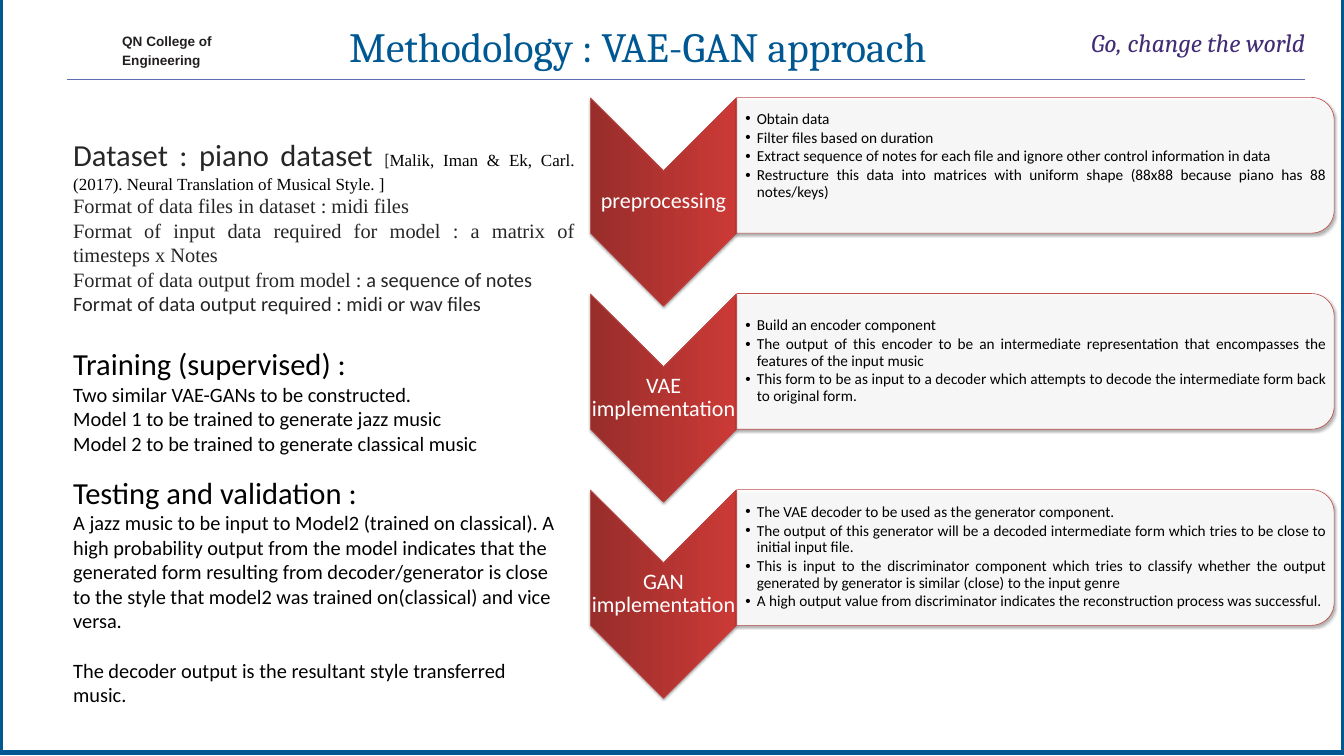
from lxml.etree import SubElement
from pptx import Presentation
from pptx.dml.color import RGBColor
from pptx.enum.shapes import MSO_CONNECTOR, MSO_SHAPE as Shape
from pptx.enum.text import MSO_ANCHOR as Anchor, MSO_AUTO_SIZE as AutoSize, PP_ALIGN as Align
from pptx.oxml import parse_xml
from pptx.oxml.ns import nsdecls, qn
from pptx.util import Cm, Pt

SHADOW = (
    f'<a:outerShdw {nsdecls("a")} blurRad="39370" dist="22860" dir="5400000" rotWithShape="0">'
    '<a:srgbClr val="000000"><a:alpha val="34000"/></a:srgbClr></a:outerShdw>'
)


def colour(code):
    return RGBColor.from_string(code)


def write(box, place, insets, paragraphs, anchor=Anchor.TOP):
    for side, length in zip(("left", "top", "width", "height"), place):
        setattr(box, side, Cm(length))
    frame = box.text_frame
    settings = {"word_wrap": True, "auto_size": AutoSize.NONE, "vertical_anchor": anchor}
    for side, length in zip(("left", "top", "right", "bottom"), insets):
        settings[f"margin_{side}"] = Cm(length)
    for key, value in settings.items():
        setattr(frame, key, value)
    for number, (layout, runs) in enumerate(paragraphs):
        paragraph = frame.paragraphs[0] if number == 0 else frame.add_paragraph()
        for key, value in ({"space_before": Pt(0)} | layout).items():
            setattr(paragraph, key, value)
        for text, size, name, ink, *style in runs:
            run = paragraph.add_run()
            run.text = text
            font = {"size": Pt(size), "name": name, "bold": "bold" in style, "italic": "italic" in style}
            for key, value in font.items():
                setattr(run.font, key, value)
            run.font.color.rgb = colour(ink)
    return frame


deck = Presentation()
deck.slide_width, deck.slide_height = Cm(55.85), Cm(31.42)
slide = deck.slides.add_slide(deck.slide_layouts[4])
shapes = slide.shapes
heading = shapes.title
step_lists = [slide.placeholders[index] for index in (1, 2, 3)]
spare = slide.placeholders[4].element
spare.getparent().remove(spare)

border = shapes.add_shape(Shape.RECTANGLE, Cm(0), Cm(-0.13), Cm(55.85), Cm(31.42))
border.shadow.inherit = False
border.fill.solid()
border.fill.fore_color.rgb = colour("FFFFFF")
border.line.color.rgb = colour("005893")
border.line.width = Pt(6)

header_rule = shapes.add_connector(MSO_CONNECTOR.STRAIGHT, Cm(2.79), Cm(3.3), Cm(54.25), Cm(3.3))
header_rule.line.color.rgb = colour("5E6DB3")
header_rule.line.width = Pt(1.25)
SubElement(header_rule.element.spPr, qn("a:effectLst"))

shapes.element.append(heading.element)
write(heading, (12.27, 0.84, 28.45, 2.13), (0, 0.03, 0, 0), [
    ({"alignment": Align.CENTER}, [("Methodology : VAE-GAN approach", 49, "Cambria", "005893")]),
])

college = shapes.add_textbox(0, 0, 0, 0)
write(college, (5.08, 1.22, 3.81, 1.37), (0, 0.05, 0, 0), [
    ({"line_spacing": 1.12, "space_before": Pt(gap)}, [(text, 16, "Arial", "231F20", "bold")])
    for text, gap in (("QN College of", 0), ("Engineering", 1.4))
])

motto = shapes.add_textbox(0, 0, 0, 0)
write(motto, (44.02, 1.14, 10.21, 1.3), (0, 0, 0, 0), [
    ({"alignment": Align.RIGHT}, [("Go, change the world", 30, "Cambria", "422C75", "italic")]),
])

SERIF, SANS, GREY, BLACK = "Times New Roman", "Calibri", "262626", "000000"
dataset = shapes.add_textbox(0, 0, 0, 0)
dataset_lines = [
    [("Dataset : piano dataset ", 36, SANS, GREY), ("[", 20, SANS, GREY),
     ("Malik, Iman & Ek, Carl. (2017). Neural Translation of Musical Style. ]", 20, SERIF, BLACK)],
    [("Format of data files in dataset : midi files", 24, SERIF, GREY)],
    [("Format of input data required for model : a matrix of timesteps x Notes", 24, SERIF, GREY)],
    [("Format of data output from model :", 24, SERIF, GREY), (" a sequence of notes", 24, SANS, GREY)],
    [("Format of data output required : midi or wav files", 24, SANS, GREY)],
]
write(dataset, (2.79, 5.54, 21.34, 7.77), (0.25, 0.13, 0.25, 0.13),
      [({"alignment": Align.JUSTIFY}, runs) for runs in dataset_lines])

training = shapes.add_textbox(0, 0, 0, 0)
training_lines = [
    ("Training (supervised) :", 36, 0),
    ("Two similar VAE-GANs to be constructed.", 24, 0),
    ("Model 1 to be trained to generate jazz music", 24, 0),
    ("Model 2 to be trained to generate classical music", 24, 0),
    ("Testing and validation :", 36, 22),
    ("A jazz music to be input to Model2 (trained on classical). A high probability output from the model "
     "indicates that the generated form resulting from decoder/generator is close to the style that model2 "
     "was trained on(classical) and vice versa.", 24, 0),
    ("The decoder output is the resultant style transferred music.", 24, 29.3),
]
write(training, (2.79, 14.22, 20.68, 16.15), (0.25, 0.13, 0.25, 0.13), [
    ({"space_before": Pt(gap)}, [(text, size, SANS, BLACK)]) for text, size, gap in training_lines
])

steps = [
    ("preprocessing", 0.8, [
        "Obtain data",
        "Filter files based on duration",
        "Extract sequence of notes for each file and ignore other control information in data",
        "Restructure this data into matrices with uniform shape (88x88 because piano has 88 notes/keys)",
    ]),
    ("VAE implementation", 0.03, [
        "Build an encoder component",
        "The output of this encoder to be an intermediate representation that encompasses the features "
        "of the input music",
        "This form to be as input to a decoder which attempts to decode the intermediate form back "
        "to original form.",
    ]),
    ("GAN implementation", 0.03, [
        "The VAE decoder to be used as the generator component.",
        "The output of this generator will be a decoded intermediate form which tries to be close to "
        "initial input file.",
        "This is input to the discriminator component which tries to classify whether the output "
        "generated by generator is similar (close) to the input genre",
        "A high output value from discriminator indicates the reconstruction process was successful.",
    ]),
]
for row, ((step, bottom, points), step_list) in enumerate(zip(steps, step_lists)):
    drop = row * 8.15
    chevron = shapes.add_shape(Shape.CHEVRON, Cm(23.24), Cm(5.36 + drop), Cm(8.66), Cm(6.07))
    panel = shapes.add_shape(Shape.ROUND_2_SAME_RECTANGLE, Cm(40.21), Cm(-5.54 + drop), Cm(5.64), Cm(24.82))
    panel.adjustments[0] = 0.167
    chevron.fill.gradient()
    chevron.fill.gradient_angle = 90
    for stop, code in zip(chevron.fill.gradient_stops, ("982D2B", "CC3A36")):
        stop.color.rgb = colour(code)
    panel.fill.solid()
    panel.fill.fore_color.rgb = colour("FFFFFF")
    SubElement(panel.element.spPr.find(".//" + qn("a:srgbClr")), qn("a:alpha"), val="89000")
    for part in (chevron, panel):
        part.rotation = 90
        part.line.color.rgb = colour("BF504D")
        part.line.width = Pt(0.75)
        part.shadow.inherit = False
        part.element.spPr.find(qn("a:effectLst")).append(parse_xml(SHADOW))

    label = shapes.add_textbox(0, 0, 0, 0)
    write(label, (24.54, 7.09 + drop, 6.07, 2.59), (0, 0, 0, 0), [
        ({"alignment": Align.CENTER, "line_spacing": 0.9}, [(step, 26, SANS, "FFFFFF")]),
    ], Anchor.MIDDLE)

    shapes.element.append(step_list.element)
    bullets = write(step_list, (30.61, 4.32 + drop, 24.54, 5.08), (0.36, 0.03, 0.03, bottom), [
        ({"alignment": Align.JUSTIFY, "line_spacing": 0.9, "space_before": Pt(2.7 if number else 0)},
         [(point, 18, SANS, BLACK)])
        for number, point in enumerate(points)
    ], Anchor.MIDDLE)
    for paragraph in bullets.paragraphs:
        properties = paragraph._p.get_or_add_pPr()
        properties.set("marL", str(Cm(0.48)))
        properties.set("indent", str(Cm(-0.48)))
        SubElement(SubElement(properties, qn("a:buClr")), qn("a:srgbClr"), val=BLACK)
        SubElement(properties, qn("a:buChar"), char="•")

deck.save("out.pptx")
